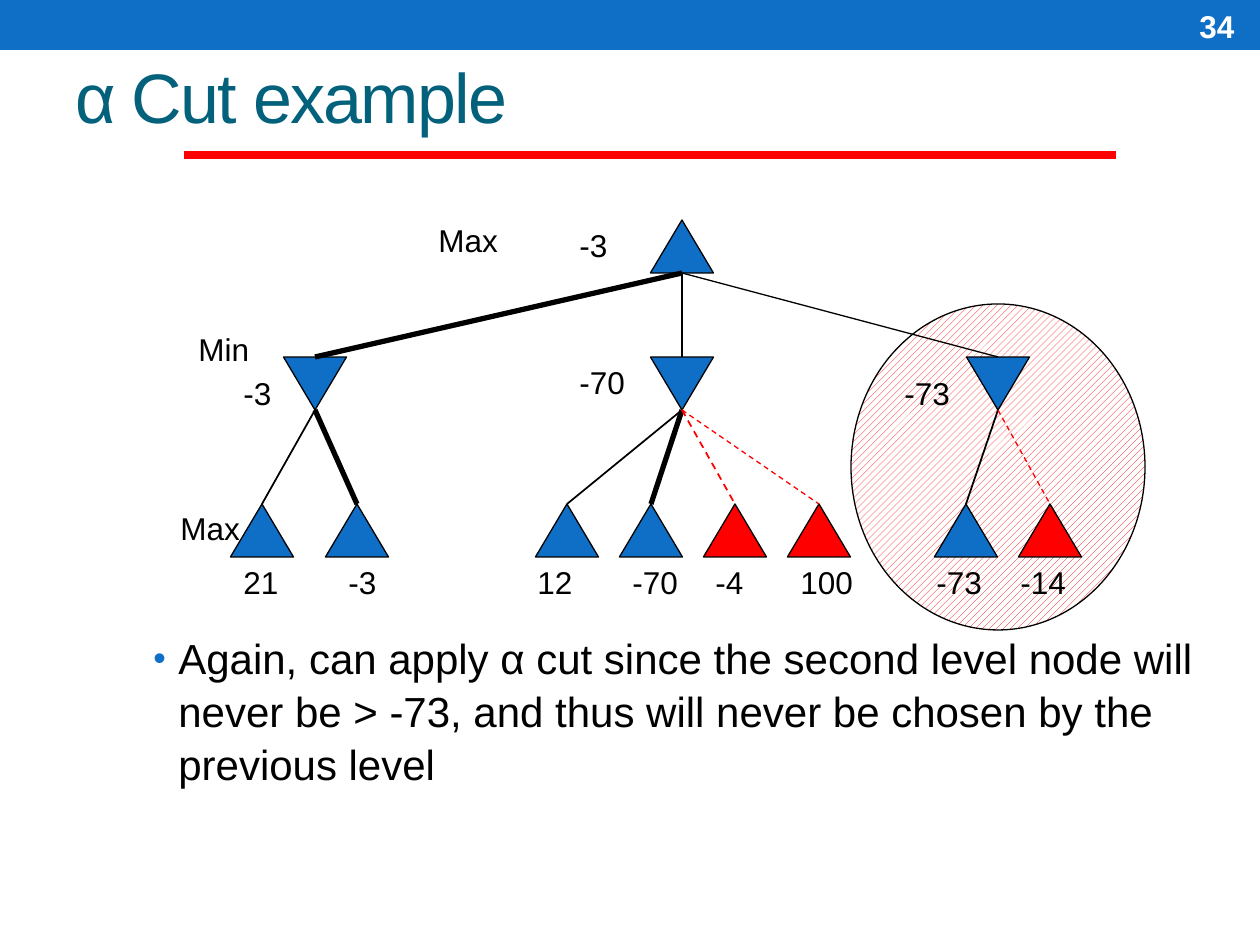
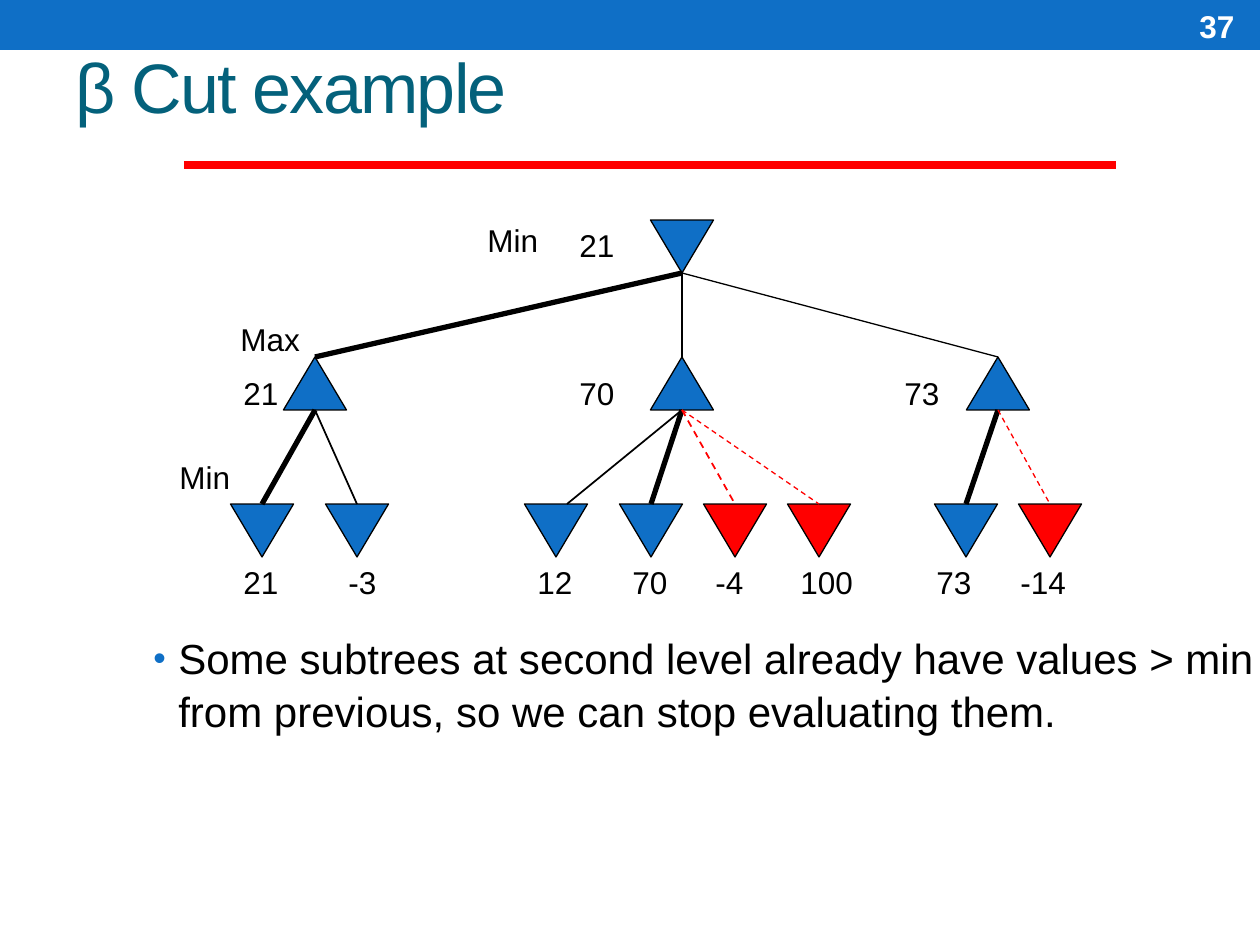
"""Build two slides showing alpha and beta cuts on a game tree."""
from lxml import etree
from pptx import Presentation, util as u
from pptx.dml.color import RGBColor
from pptx.enum import dml, shapes, text
from pptx.oxml import ns

BLUE = RGBColor(0x0F, 0x6F, 0xC6)
TEAL = RGBColor(0x04, 0x61, 0x7B)
RED = RGBColor(0xFF, 0, 0)
BLACK = RGBColor(0, 0, 0)
WHITE = RGBColor(0xFF, 0xFF, 0xFF)

SLIDES = [
    dict(title="α Cut example", number="34", title_y=-14, rule_y=155,
         body="Again, can apply α cut since the second level node will never be "
              "> -73, and thus will never be chosen by the previous level",
         root_is_max=True, root="-3",
         mids=[("-3", 368), ("-70", 357), ("-73", 368)],
         leaves=["21", "-3", "12", "-70", "-4", "100", "-73", "-14"],
         chosen={1, 3}, third_leaf=567, pruned=(851, 304, 294, 326),
         levels=[("Max", 426, 215), ("Min", 186, 324), ("Max", 168, 503)]),
    dict(title="β Cut example", number="37", title_y=-24, rule_y=165,
         body="Some subtrees at second level already have values > min from "
              "previous, so we can stop evaluating them.",
         root_is_max=False, root="21",
         mids=[("21", 368), ("70", 368), ("73", 368)],
         leaves=["21", "-3", "12", "70", "-4", "100", "73", "-14"],
         chosen={0, 3, 6}, third_leaf=556, pruned=None,
         levels=[("Min", 475, 215), ("Max", 228, 314), ("Min", 167, 452)]),
]
ROOT_X = 682
MIDS = [(315, 231, 3), (682, 567, 1), (998, 892, 0.75)]
LEAVES = [(0, 262, 231, None), (0, 357, 336, None), (1, 567, 525, None),
          (1, 651, 620, None), (1, 735, 703, 1), (1, 819, 788, 0.75),
          (2, 966, 924, None), (2, 1050, 1008, 0.75)]
ROOT_Y, MID_Y, LEAF_Y = 220, 357, 504
NODE_W, NODE_H = 63, 53
CHAR_W = {"-": 10, "M": 26, "a": 18, "x": 16, "i": 7, "n": 18}


def px(n):
    return u.Emu(round(n * 914400 / 126))


def add_text(s, words, x, y, w, h, size=18, color=BLACK, bold=False, wrap=True,
             anchor=text.MSO_ANCHOR.TOP, spacing=None, bullet=False):
    tf = s.shapes.add_textbox(*map(px, (x, y, w, h))).text_frame
    tf.word_wrap = wrap
    tf.vertical_anchor = anchor
    p = tf.paragraphs[0]
    r = p.add_run()
    r.text = words
    f = r.font
    f.name, f.size, f.bold, f.color.rgb = "Arial", u.Pt(size), bold, color
    if spacing:
        f._element.set("spc", str(spacing))
    if bullet:
        p.line_spacing = 1.05
        pPr = p._p.get_or_add_pPr()
        pPr.set("marL", str(px(25)))
        pPr.set("indent", str(-px(25)))
        clr = etree.SubElement(pPr, ns.qn("a:buClr"))
        etree.SubElement(clr, ns.qn("a:srgbClr")).set("val", str(BLUE))
        etree.SubElement(pPr, ns.qn("a:buSzPct")).set("val", "85000")
        etree.SubElement(pPr, ns.qn("a:buFont")).set("typeface", "Arial")
        etree.SubElement(pPr, ns.qn("a:buChar")).set("char", "•")


def add_label(s, words, x, y):
    width = 25 + sum(CHAR_W.get(c, 18) for c in words)
    add_text(s, words, x, y, width, 50, wrap=False)


def add_figure(s, kind, x, y, w, h, color=None, outlined=True):
    sp = s.shapes.add_shape(kind, *map(px, (x, y, w, h)))
    sp.shadow.inherit = False
    if color is None:
        sp.fill.patterned()
        sp.fill.pattern = dml.MSO_PATTERN.WIDE_UPWARD_DIAGONAL
        sp.fill.fore_color.rgb, sp.fill.back_color.rgb = RED, WHITE
    else:
        sp.fill.solid()
        sp.fill.fore_color.rgb = color
    if outlined:
        sp.line.color.rgb, sp.line.width = BLACK, u.Pt(0.75)
    else:
        sp.line.fill.background()
    return sp


def add_node(s, x, y, is_max, color=BLUE):
    sp = add_figure(s, shapes.MSO_SHAPE.ISOSCELES_TRIANGLE,
                    x - NODE_W / 2, y, NODE_W, NODE_H, color)
    sp.rotation = 0 if is_max else 180


def add_line(s, x1, y1, x2, y2, width, color=BLACK, dashed=False):
    c = s.shapes.add_connector(shapes.MSO_CONNECTOR.STRAIGHT,
                               *map(px, (x1, y1, x2, y2)))
    c.line.color.rgb, c.line.width = color, u.Pt(width)
    if dashed:
        c.line.dash_style = dml.MSO_LINE.DASH
    etree.SubElement(c._element.spPr, ns.qn("a:effectLst"))


def add_frame(s, d):
    add_figure(s, shapes.MSO_SHAPE.RECTANGLE, 0, 0, 1260, 50, BLUE, outlined=False)
    if d["pruned"]:
        add_figure(s, shapes.MSO_SHAPE.OVAL, *d["pruned"])
    add_text(s, d["title"], 63, d["title_y"], 1134, 158, size=40, color=TEAL,
             anchor=text.MSO_ANCHOR.BOTTOM, spacing=-100)
    add_text(s, d["body"], 141, 624, 1134, 220, size=24, bullet=True)
    add_line(s, 184, d["rule_y"], 1116, d["rule_y"], 4.5, RED)
    add_text(s, d["number"], 1187, 3, 73, 45, color=WHITE, bold=True,
             anchor=text.MSO_ANCHOR.MIDDLE)


def add_tree(s, d):
    is_max = d["root_is_max"]
    add_node(s, ROOT_X, ROOT_Y, is_max)
    add_label(s, d["root"], 567, ROOT_Y)
    for (x, label_x, width), (value, label_y) in zip(MIDS, d["mids"]):
        add_node(s, x, MID_Y, not is_max)
        add_line(s, ROOT_X, ROOT_Y + NODE_H, x, MID_Y, width)
        add_label(s, value, label_x, label_y)
    for i, (parent, x, label_x, cut) in enumerate(LEAVES):
        add_node(s, d["third_leaf"] if i == 2 else x, LEAF_Y, is_max,
                 RED if cut else BLUE)
        add_line(s, MIDS[parent][0], MID_Y + NODE_H, x, LEAF_Y,
                 cut or (3 if i in d["chosen"] else 1),
                 RED if cut else BLACK, dashed=bool(cut))
        add_label(s, d["leaves"][i], label_x, LEAF_Y + NODE_H)
    for level in d["levels"]:
        add_label(s, *level)


def main():
    prs = Presentation()
    prs.slide_width, prs.slide_height = px(1260), px(945)
    for d in SLIDES:
        s = prs.slides.add_slide(prs.slide_layouts[6])
        add_frame(s, d)
        add_tree(s, d)
    prs.save("out.pptx")


if __name__ == "__main__":
    main()
